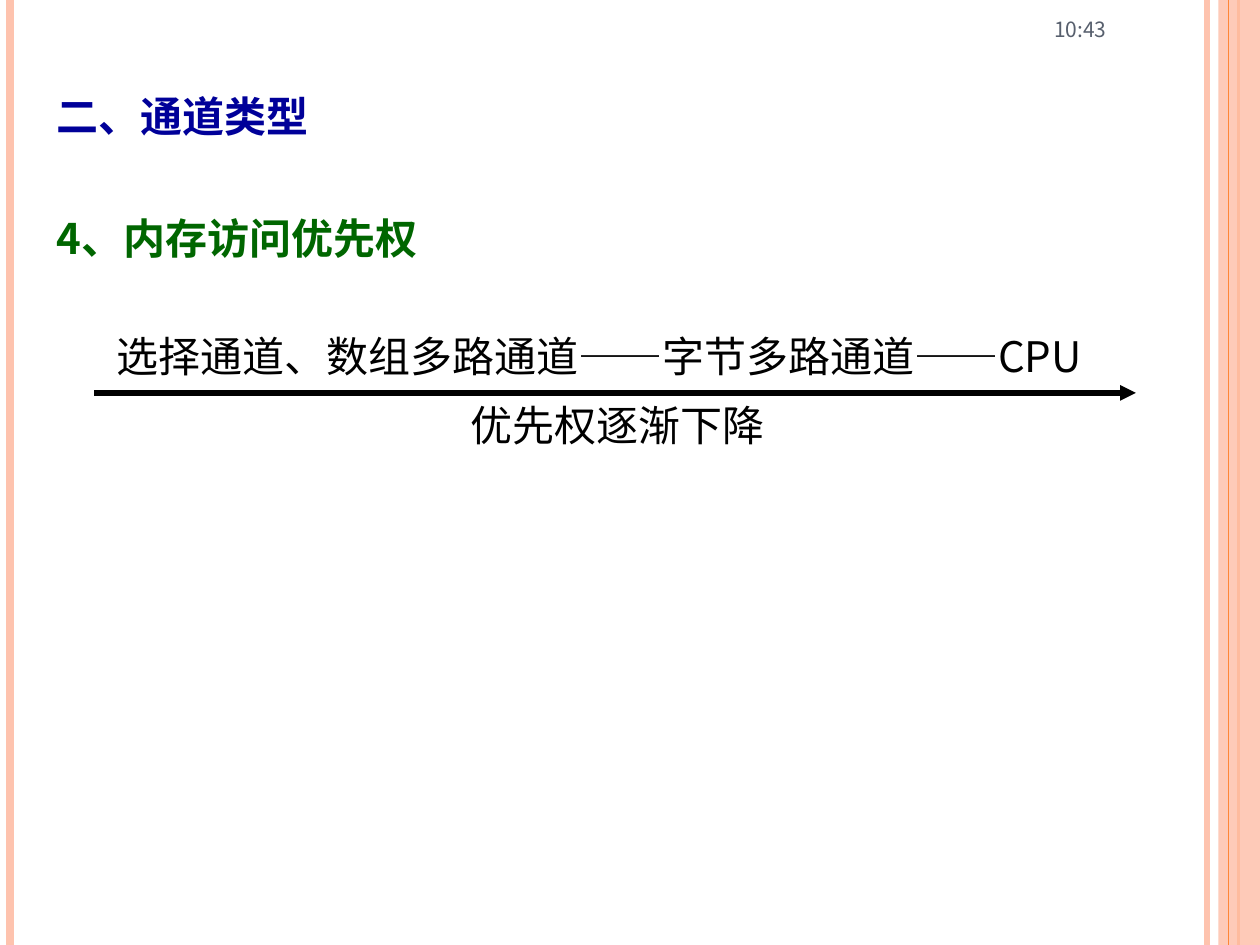
from lxml import etree
from pptx import Presentation
from pptx.dml.color import RGBColor
from pptx.enum.shapes import MSO_CONNECTOR, MSO_SHAPE
from pptx.enum.text import MSO_ANCHOR, PP_ALIGN
from pptx.oxml.ns import qn
from pptx.util import Cm, Pt

LINE = MSO_CONNECTOR.STRAIGHT
RECT = MSO_SHAPE.RECTANGLE
TOP, MIDDLE = MSO_ANCHOR.TOP, MSO_ANCHOR.MIDDLE
LEFT, CENTER = PP_ALIGN.LEFT, PP_ALIGN.CENTER
FONT = "Noto Sans CJK SC"
HUES = {"pink": "FEC3AE", "orange": "FE8637", "green": "006600",
        "navy": "000099", "black": "000000", "slate": "575F6D"}

deck = Presentation()
deck.slide_width, deck.slide_height = Cm(25.4), Cm(19.05)
slide = deck.slides.add_slide(deck.slide_layouts[6])


def add_line(x1, y1, x2, y2, hue, width):
    line = slide.shapes.add_connector(LINE, Cm(x1), Cm(y1), Cm(x2), Cm(y2))
    line.line.color.rgb = RGBColor.from_string(HUES[hue])
    line.line.width = Pt(width)
    etree.SubElement(line._element.spPr, qn("a:effectLst"))
    return line


def add_text(text, x, y, w, h, size, hue, bold=False, anchor=TOP, align=LEFT):
    box = slide.shapes.add_textbox(Cm(x), Cm(y), Cm(w), Cm(h))
    frame = box.text_frame
    frame.word_wrap = True
    frame.vertical_anchor = anchor
    para = frame.paragraphs[0]
    para.alignment = align
    run = para.add_run()
    run.text = text
    run.font.size = Pt(size)
    run.font.bold = bold
    run.font.color.rgb = RGBColor.from_string(HUES[hue])
    run.font.name = FONT
    props = run.font._element
    etree.SubElement(props, qn("a:ea")).set("typeface", FONT)
    return frame, para, props


# Side stripes, with the right band between them
add_line(24.33, 0, 24.33, 19.05, "pink", 3)
add_line(0.2, 0, 0.2, 19.05, "pink", 4.5)
add_line(24.97, 0, 24.97, 19.05, "orange", 1.5)

band = slide.shapes.add_shape(RECT, Cm(24.56), 0, Cm(0.84), Cm(19.05))
band.shadow.inherit = False
band.fill.solid()
band.fill.fore_color.rgb = RGBColor.from_string(HUES["pink"])
band.line.fill.background()
tint = band._element.spPr.find(qn("a:solidFill"))[0]
etree.SubElement(tint, qn("a:alpha")).set("val", "87000")

add_line(24.77, 0, 24.77, 19.05, "orange", 0.75)

# Headings
frame, para, props = add_text("4、内存访问优先权", 0.89, 3.66, 22.43, 2.67,
                              24, "green", bold=True)
para.line_spacing = 1.5

frame, para, props = add_text("二、通道类型", 0.89, 1.17, 20.75, 2.16,
                              30, "navy", bold=True, anchor=MIDDLE)
props.set("cap", "small")

# Priority order above its arrow
frame, para, props = add_text("选择通道、数组多路通道——字节多路通道——CPU",
                              1.9, 6.53, 21, 1.27, 24, "black")
frame.margin_left = Cm(0.44)

arrow = add_line(1.9, 7.92, 22.9, 7.92, "black", 3)
etree.SubElement(arrow.line._get_or_add_ln(), qn("a:tailEnd")).set("type", "triangle")
add_text("优先权逐渐下降", 3.3, 7.92, 18.31, 1.3, 24, "black", align=CENTER)

# Clock
add_text("10:43", 21, 0, 4.4, 1.19, 12, "slate", anchor=MIDDLE)

deck.save("out.pptx")
